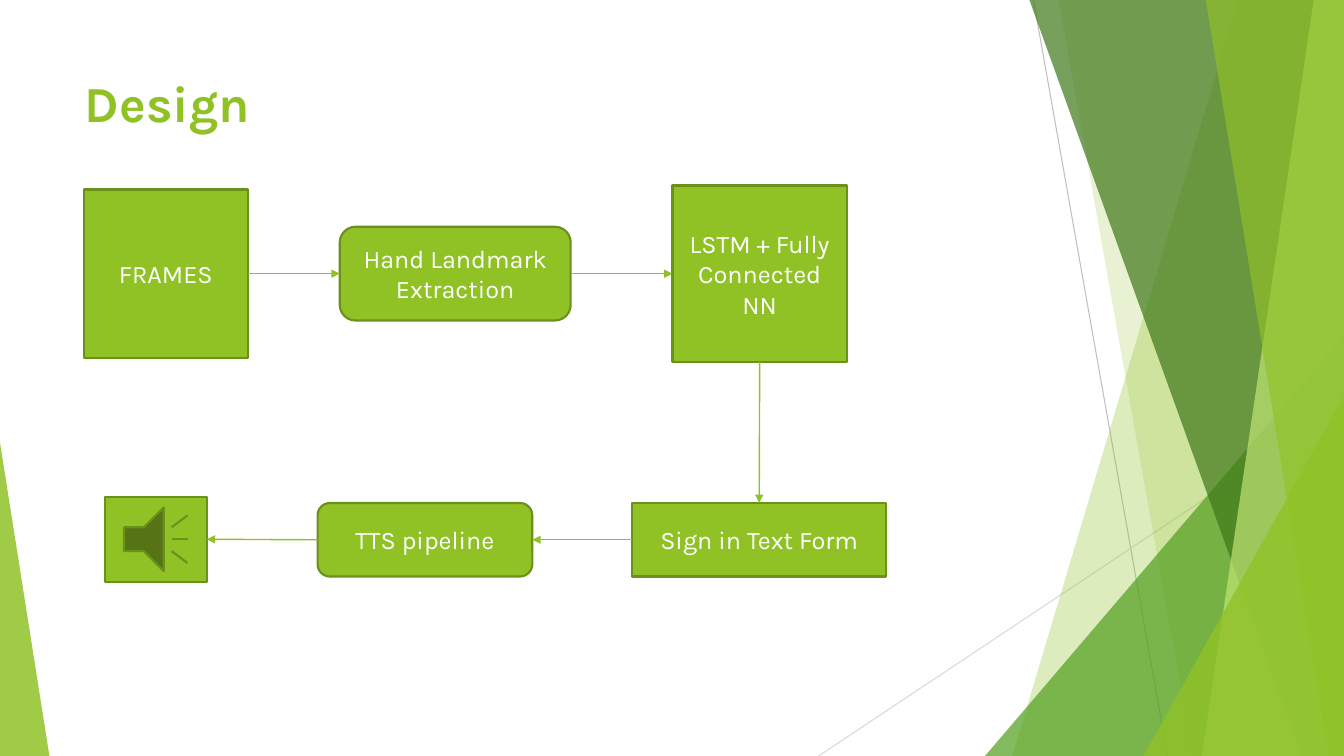
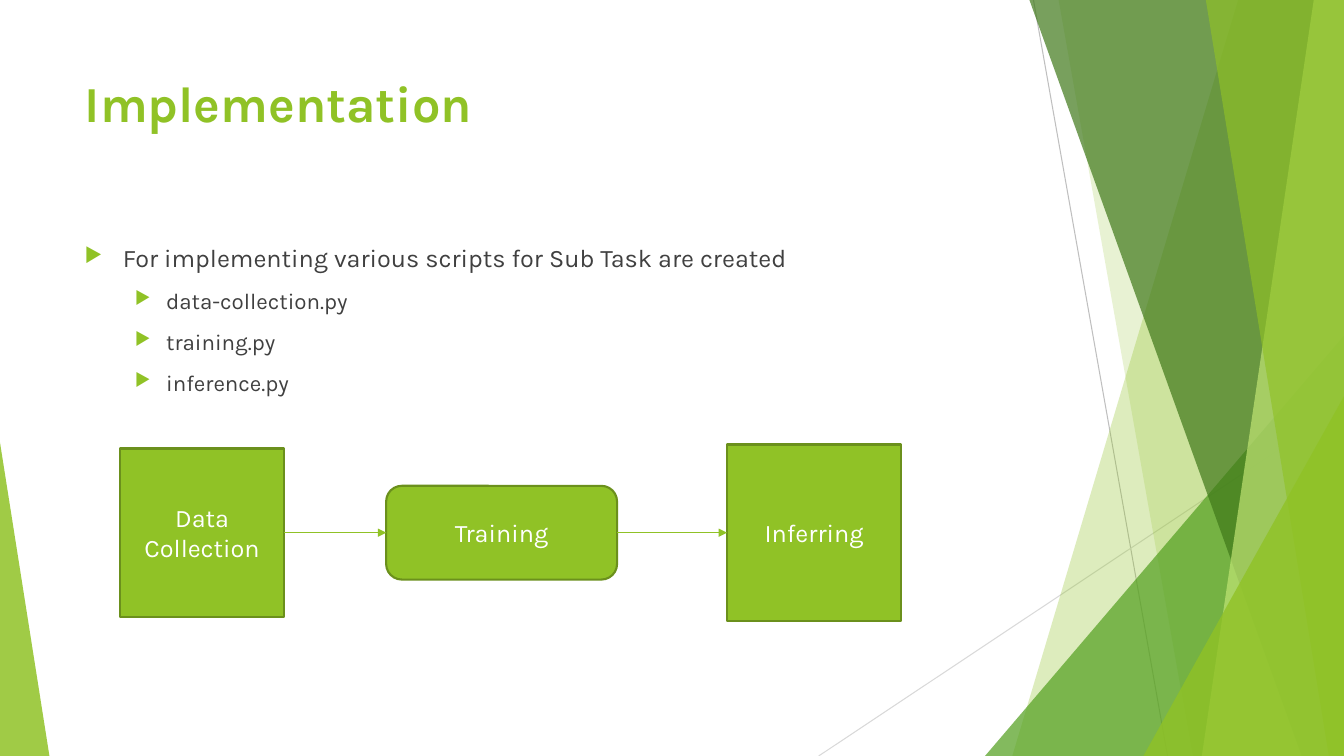
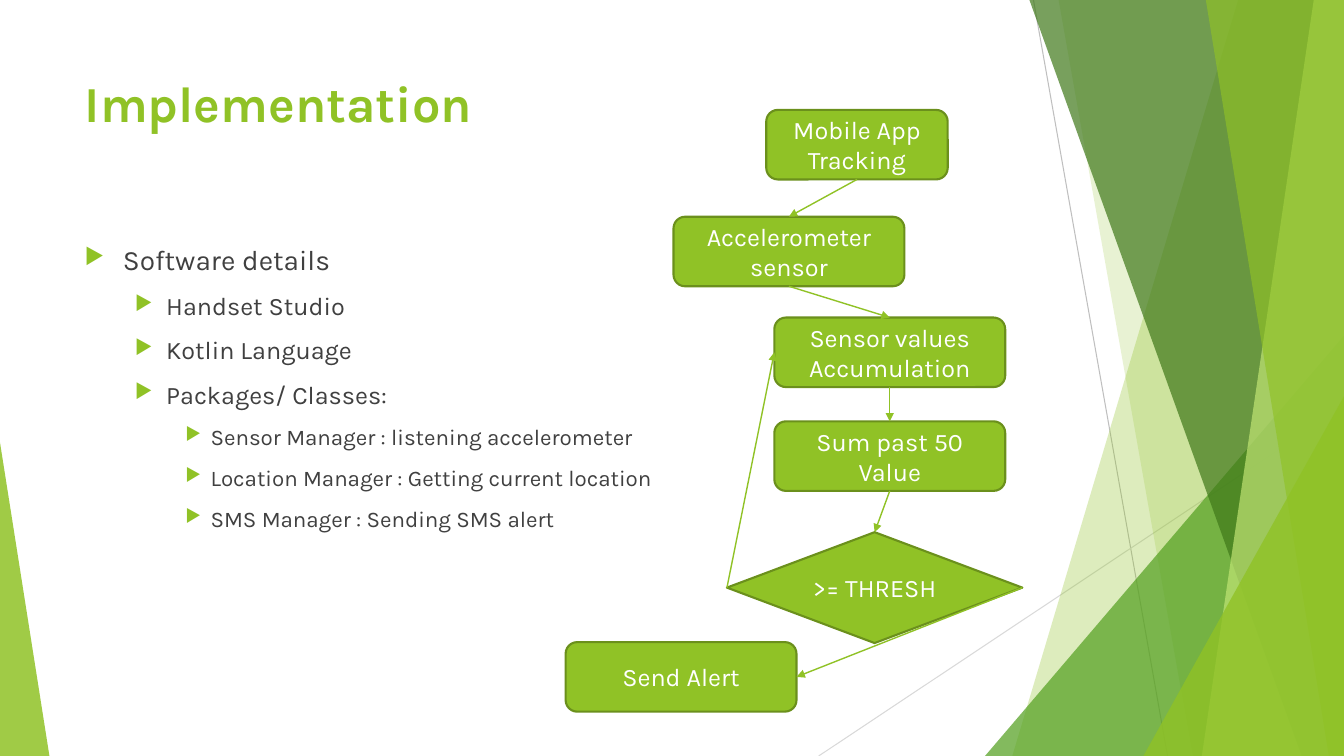
from lxml import etree
from pptx import Presentation
from pptx.dml.color import RGBColor
from pptx.enum.shapes import MSO_CONNECTOR, MSO_SHAPE
from pptx.enum.text import MSO_ANCHOR, MSO_AUTO_SIZE, PP_ALIGN
from pptx.oxml.ns import qn
from pptx.util import Inches, Pt

RECT = MSO_SHAPE.RECTANGLE
ROUND = MSO_SHAPE.ROUNDED_RECTANGLE
DIAMOND = MSO_SHAPE.DIAMOND
SOUND = MSO_SHAPE.ACTION_BUTTON_SOUND
TRIANGLE = MSO_SHAPE.ISOSCELES_TRIANGLE
STRAIGHT = MSO_CONNECTOR.STRAIGHT
TOP, MIDDLE = MSO_ANCHOR.TOP, MSO_ANCHOR.MIDDLE
LEFT, CENTER = PP_ALIGN.LEFT, PP_ALIGN.CENTER
NO_FIT = MSO_AUTO_SIZE.NONE

WIDTH, HEIGHT = 13.33, 7.5
FONT = "Karla"
GREEN, EDGE, GRAY, WHITE = "90C226", "6B901C", "404040", "FFFFFF"
# Connection site number and its place as a share of width and height
SIDES = {"top": (0, 0.5, 0), "left": (1, 0, 0.5),
         "bottom": (2, 0.5, 1), "right": (3, 1, 0.5)}
# Text start and hanging indent of each bullet level
INDENTS = [(0.38, 0.38), (0.81, 0.31), (1.25, 0.25)]


def color(value):
    return RGBColor.from_string(value)


def apply(target, values):
    for name, value in values.items():
        setattr(target, name, value)


def add_node(parent, tag, **attributes):
    node = etree.SubElement(parent, qn(tag))
    for name, value in attributes.items():
        node.set(name, str(value))
    return node


class Deck:
    """Holds the style and the current slide."""

    def __init__(self):
        self.show = Presentation()
        apply(self.show, {"slide_width": Inches(WIDTH), "slide_height": Inches(HEIGHT)})
        self.layout = next(x for x in self.show.slide_layouts if x.name == "Title Only")
        self.page = None

    def add_page(self, title):
        self.page = self.show.slides.add_slide(self.layout)
        box = self.page.shapes.title
        apply(box, {"left": Inches(0.74), "top": Inches(0.67),
                    "width": Inches(9.4), "height": Inches(1.44)})
        apply(box.text_frame, {"vertical_anchor": TOP, "word_wrap": True,
                               "auto_size": NO_FIT})
        self.add_text(box.text_frame.paragraphs[0], title, 36, GREEN, LEFT, bold=True)

    def add_text(self, para, text, size, tint, align, bold=False):
        para.alignment = align
        span = para.add_run()
        span.text = text
        apply(span.font, {"name": FONT, "size": Pt(size), "bold": bold})
        span.font.color.rgb = color(tint)

    # Flow chart boxes and arrows
    def box(self, kind, left, top, width, height, *lines):
        box = self.page.shapes.add_shape(
            kind, Inches(left), Inches(top), Inches(width), Inches(height))
        box.shadow.inherit = False
        box.fill.solid()
        box.fill.fore_color.rgb = color(GREEN)
        box.line.color.rgb = color(EDGE)
        box.line.width = Pt(1.5)
        frame = box.text_frame
        apply(frame, {"vertical_anchor": MIDDLE, "word_wrap": True})
        for index, line in enumerate(lines):
            para = frame.add_paragraph() if index else frame.paragraphs[0]
            self.add_text(para, line, 18, WHITE, CENTER)
        return box

    def line(self, start, end, tint, width):
        line = self.page.shapes.add_connector(STRAIGHT, *start, *end)
        line.line.color.rgb = color(tint)
        line.line.width = Pt(width)
        add_node(line.element.spPr, "a:effectLst")
        return line

    def arrow(self, source, exit_side, target, entry_side):
        ends = []
        for box, side in ((source, exit_side), (target, entry_side)):
            site, across, down = SIDES[side]
            ends.append((int(box.left + box.width * across),
                         int(box.top + box.height * down)))
        arrow = self.line(*ends, GREEN, 1)
        add_node(arrow.element.spPr.find(qn("a:ln")), "a:tailEnd", type="triangle")
        arrow.begin_connect(source, SIDES[exit_side][0])
        # Action buttons number their connection sites differently
        if target.auto_shape_type != SOUND:
            arrow.end_connect(target, site)

    # Bulleted text: items are (level, text), sizes go by level
    def bullets(self, width, height, sizes, items):
        box = self.page.shapes.add_textbox(
            Inches(0.74), Inches(2.36), Inches(width), Inches(height))
        frame = box.text_frame
        frame.word_wrap = True
        for index, (level, text) in enumerate(items):
            para = frame.add_paragraph() if index else frame.paragraphs[0]
            apply(para, {"level": level, "space_before": Pt(10)})
            self.add_text(para, text, sizes[level], GRAY, LEFT)
            start, hang = INDENTS[level]
            rules = para._p.get_or_add_pPr()
            rules.set("marL", str(Inches(start)))
            rules.set("indent", str(-Inches(hang)))
            add_node(add_node(rules, "a:buClr"), "a:srgbClr", val=GREEN)
            add_node(rules, "a:buSzPct", val=80000)
            add_node(rules, "a:buChar", char="▶")

    # Background facets
    def glaze(self, facet, tint, opacity):
        facet.shadow.inherit = False
        facet.fill.solid()
        facet.fill.fore_color.rgb = color(tint)
        facet.line.fill.background()
        fill = facet.element.spPr.find(qn("a:solidFill"))
        add_node(fill[0], "a:alpha", val=opacity * 1000)
        return facet

    def band(self, top_x, bottom_x, tint, opacity):
        outline = self.page.shapes.build_freeform(Inches(top_x), 0)
        outline.add_line_segments(
            [(Inches(x), Inches(y)) for x, y in
             ((WIDTH, 0), (WIDTH, HEIGHT), (bottom_x, HEIGHT))])
        return self.glaze(outline.convert_to_shape(), tint, opacity)

    def corner(self, left, top, width, peak, tint, opacity):
        facet = self.page.shapes.add_shape(
            TRIANGLE, Inches(left), Inches(top), Inches(width), Inches(HEIGHT - top))
        facet.adjustments[0] = peak
        return self.glaze(facet, tint, opacity)

    def dress_master(self):
        """Draw the background once and move it behind the master's placeholders."""
        facets = [
            self.line((Inches(10.25), 0), (Inches(11.58), Inches(HEIGHT)), "BFBFBF", 0.75),
            self.line((Inches(WIDTH), Inches(4.03)), (Inches(8.12), Inches(HEIGHT)),
                      "D9D9D9", 0.75),
            self.band(12.28, 10.04, GREEN, 30),
            self.band(10.5, 11.83, GREEN, 20),
            self.corner(9.77, 3.33, 3.56, 1, "54A021", 72),
            self.band(10.21, 12.91, "3F7819", 70),
            self.band(13.03, 11.92, "C0E474", 70),
            self.band(11.96, 13.18, GREEN, 65),
            self.corner(11.34, 3.93, 1.99, 1, GREEN, 80),
            self.corner(0, 4.39, 0.49, 0, GREEN, 85),
        ]
        tree = self.show.slide_master.element.cSld.spTree
        for index, facet in enumerate(facets):
            facet.element.xpath(".//p:cNvPr")[0].set("id", str(100 + index))
            tree.insert(2 + index, facet.element)


def design(deck):
    deck.add_page("Design")
    deck.dress_master()
    frames = deck.box(RECT, 0.83, 1.88, 1.63, 1.67, "FRAMES")
    landmarks = deck.box(ROUND, 3.37, 2.25, 2.29, 0.93, "Hand Landmark Extraction")
    network = deck.box(RECT, 6.67, 1.84, 1.73, 1.75, "LSTM + Fully Connected NN")
    sign = deck.box(RECT, 6.27, 4.99, 2.52, 0.73, "Sign in Text Form")
    speech = deck.box(ROUND, 3.15, 4.99, 2.13, 0.73, "TTS pipeline")
    speaker = deck.box(SOUND, 1.04, 4.93, 1.01, 0.84)
    deck.arrow(frames, "right", landmarks, "left")
    deck.arrow(landmarks, "right", network, "left")
    deck.arrow(network, "bottom", sign, "top")
    deck.arrow(sign, "left", speech, "right")
    deck.arrow(speech, "left", speaker, "right")


def scripts(deck):
    deck.add_page("Implementation")
    deck.bullets(8.38, 1.84, (18, 16), [
        (0, "For implementing various scripts for Sub Task are created"),
        (1, "data-collection.py"),
        (1, "training.py"),
        (1, "inference.py"),
    ])
    collection = deck.box(RECT, 1.19, 4.45, 1.63, 1.67, "Data Collection")
    training = deck.box(ROUND, 3.83, 4.82, 2.29, 0.93, "Training")
    inferring = deck.box(RECT, 7.21, 4.41, 1.73, 1.75, "Inferring")
    deck.arrow(collection, "right", training, "left")
    deck.arrow(training, "right", inferring, "left")


def software(deck):
    deck.add_page("Implementation")
    deck.bullets(6.62, 3.87, (20, 18, 16), [
        (0, "Software details"),
        (1, "Handset Studio"),
        (1, "Kotlin Language"),
        (1, "Packages/ Classes:"),
        (2, "Sensor Manager : listening accelerometer"),
        (2, "Location Manager : Getting current location"),
        (2, "SMS Manager : Sending SMS alert"),
    ])
    tracking = deck.box(ROUND, 7.6, 1.09, 1.8, 0.69, "Mobile App Tracking")
    sensor, values, total, alert = [
        deck.box(ROUND, left, top, 2.29, 0.69, *lines) for left, top, lines in (
            (6.68, 2.15, ["Accelerometer sensor"]),
            (7.68, 3.15, ["Sensor values", "Accumulation"]),
            (7.68, 4.18, ["Sum past 50 Value"]),
            (5.61, 6.37, ["Send Alert"]))]
    threshold = deck.box(DIAMOND, 7.21, 5.28, 2.93, 1.1, ">= THRESH")
    chain = [tracking, sensor, values, total, threshold]
    for source, target in zip(chain, chain[1:]):
        deck.arrow(source, "bottom", target, "top")
    deck.arrow(threshold, "left", values, "left")
    deck.arrow(threshold, "right", alert, "right")


def main():
    deck = Deck()
    for build in (design, scripts, software):
        build(deck)
    deck.show.save("out.pptx")


if __name__ == "__main__":
    main()
